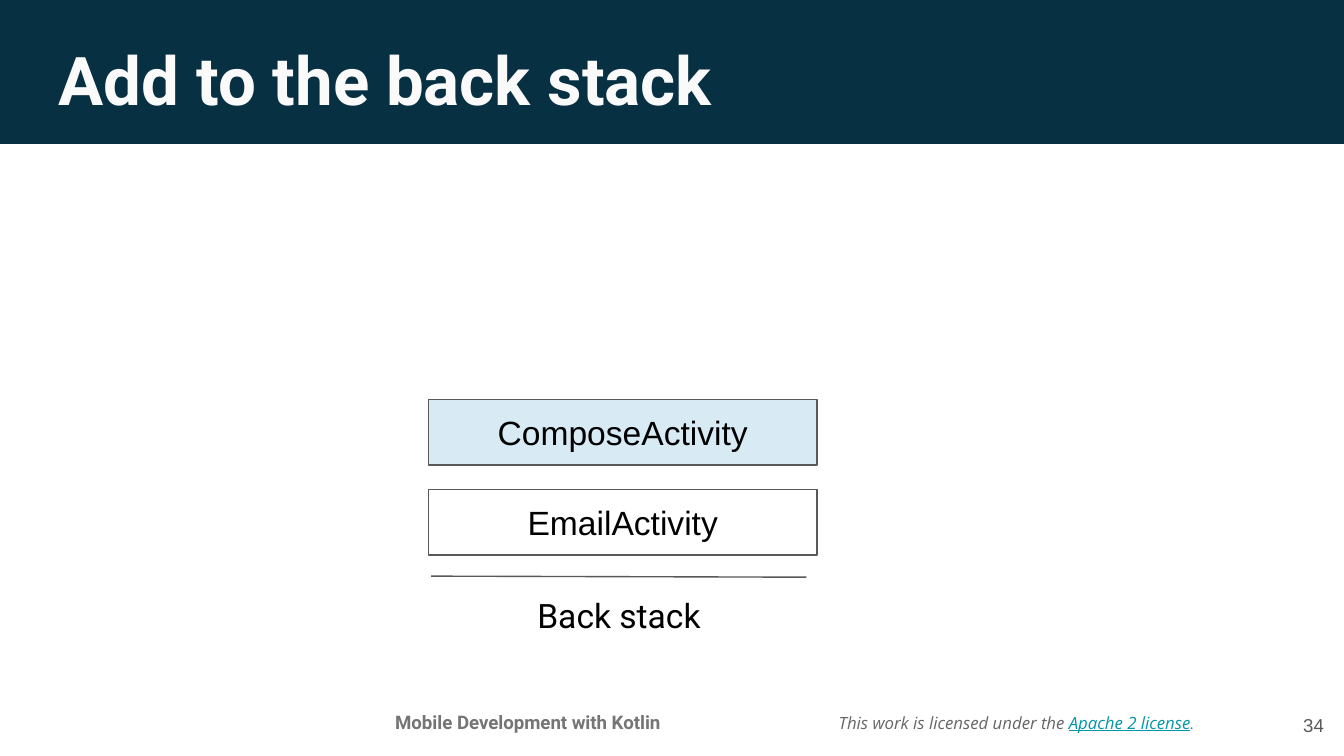
from lxml.etree import SubElement
from pptx import Presentation
from pptx.dml.color import RGBColor
from pptx.enum.shapes import MSO_CONNECTOR, MSO_SHAPE
from pptx.enum.text import MSO_ANCHOR, PP_ALIGN
from pptx.oxml.ns import qn
from pptx.util import Cm, Pt

NAVY = RGBColor(0x07, 0x30, 0x42)
OFF_WHITE = RGBColor(0xFA, 0xFA, 0xFA)
WHITE = RGBColor(0xFF, 0xFF, 0xFF)
BLACK = RGBColor(0x00, 0x00, 0x00)
BLUE = RGBColor(0x0E, 0x87, 0xC0)
TEAL = RGBColor(0x00, 0x97, 0xA7)
DARK_GREY = RGBColor(0x59, 0x59, 0x59)
GREY = RGBColor(0x66, 0x66, 0x66)
LIGHT_GREY = RGBColor(0x75, 0x75, 0x75)


def write(shape, text, size=18, font="Roboto", color=BLACK, bold=False,
          italic=False, underline=False, align=PP_ALIGN.LEFT,
          anchor=MSO_ANCHOR.MIDDLE):
    """Append a formatted run to the first paragraph of a shape."""
    frame = shape.text_frame
    frame.word_wrap = True
    frame.vertical_anchor = anchor
    frame.margin_left = frame.margin_right = Cm(0.25)
    frame.margin_top = frame.margin_bottom = Cm(0.25)
    paragraph = frame.paragraphs[0]
    paragraph.alignment = align
    run = paragraph.add_run()
    run.text = text
    run.font.size = Pt(size)
    run.font.name = font
    run.font.color.rgb = color
    run.font.bold = bold
    run.font.italic = italic
    run.font.underline = underline


prs = Presentation()
prs.slide_width, prs.slide_height = Cm(25.4), Cm(14.29)
slide = prs.slides.add_slide(prs.slide_layouts[6])
shapes = slide.shapes

# Footer
course = shapes.add_textbox(Cm(6.38), Cm(13.23), Cm(7.19), Cm(0.81))
write(course, "Mobile Development with Kotlin", size=10, color=LIGHT_GREY,
      bold=True, align=PP_ALIGN.CENTER, anchor=MSO_ANCHOR.TOP)

license_note = shapes.add_textbox(Cm(15.6), Cm(13.06), Cm(7.47), Cm(1.19))
for text, font, color, underline in [
    ("This work is licensed under the ", "Open Sans", GREY, False),
    ("Apache 2 license", "Open Sans", TEAL, True),
    (".", "Roboto", GREY, False),
]:
    write(license_note, text, size=9, font=font, color=color, italic=True,
          underline=underline)

page_number = shapes.add_textbox(Cm(23.75), Cm(13.16), Cm(1.52), Cm(1.09))
write(page_number, "34", size=10, font="Arial", color=DARK_GREY,
      align=PP_ALIGN.RIGHT)

# Title band
band = shapes.add_shape(MSO_SHAPE.RECTANGLE, Cm(-0.03), Cm(-0.1),
                        Cm(25.43), Cm(2.82))
band.shadow.inherit = False
band.fill.solid()
band.fill.fore_color.rgb = NAVY
band.line.fill.background()

title = shapes.add_textbox(Cm(0.86), Cm(0.48), Cm(23.67), Cm(1.6))
write(title, "Add to the back stack", size=36, color=OFF_WHITE, bold=True,
      anchor=MSO_ANCHOR.TOP)

# Base of the stack and its caption
caption = shapes.add_textbox(Cm(8.59), Cm(11.3), Cm(6.22), Cm(0.66))
write(caption, "Back stack", align=PP_ALIGN.CENTER)

base = shapes.add_connector(MSO_CONNECTOR.STRAIGHT, Cm(8.15), Cm(10.89),
                            Cm(15.24), Cm(10.91))
base.line.color.rgb = DARK_GREY
base.line.width = Pt(0.75)
SubElement(base._element.spPr, qn("a:effectLst"))

# Activities, from the bottom of the stack up
for level, (name, color, opacity) in enumerate([
    ("EmailActivity", WHITE, 100),
    ("ComposeActivity", BLUE, 16),
]):
    activity = shapes.add_shape(MSO_SHAPE.RECTANGLE, Cm(8.1),
                                Cm(9.25 - 1.7 * level), Cm(7.34), Cm(1.24))
    activity.shadow.inherit = False
    activity.fill.solid()
    activity.fill.fore_color.rgb = color
    if opacity < 100:
        tint = activity._element.spPr.find(qn("a:solidFill"))[0]
        SubElement(tint, qn("a:alpha"), val=str(opacity * 1000))
    activity.line.color.rgb = DARK_GREY
    activity.line.width = Pt(0.75)
    write(activity, name, font="Arial", align=PP_ALIGN.CENTER)

prs.save("out.pptx")
